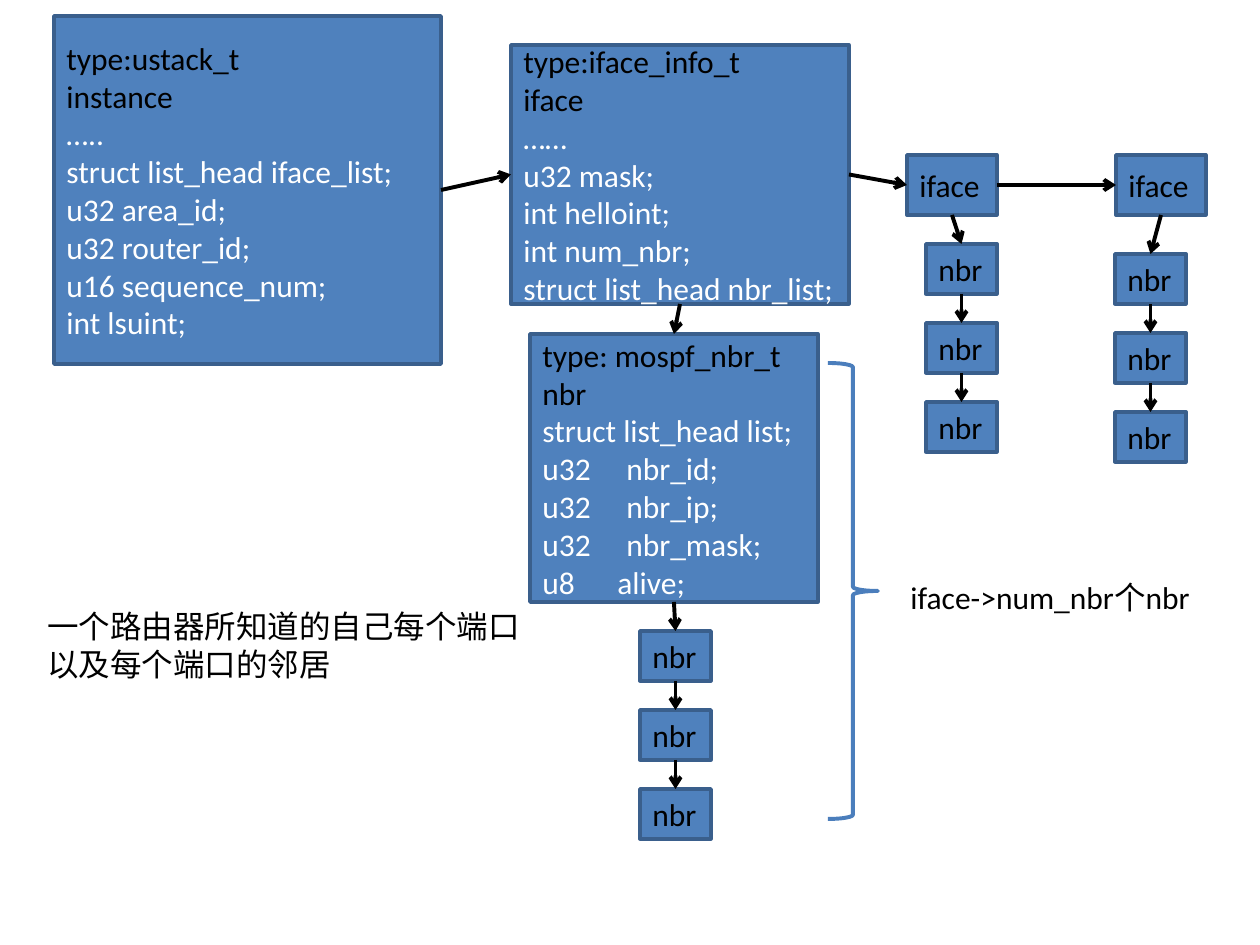
from lxml import etree
from pptx import Presentation
from pptx.dml.color import RGBColor
from pptx.enum.shapes import MSO_CONNECTOR, MSO_SHAPE
from pptx.enum.text import MSO_ANCHOR, PP_ALIGN
from pptx.oxml.ns import qn
from pptx.util import Emu, Pt

RECT = MSO_SHAPE.RECTANGLE
BRACE = MSO_SHAPE.RIGHT_BRACE
LINE = MSO_CONNECTOR.STRAIGHT
MIDDLE, TOP = MSO_ANCHOR.MIDDLE, MSO_ANCHOR.TOP
LEFT = PP_ALIGN.LEFT
DOWN, ACROSS = (2, 0), (3, 1)  # connection sites: leaving, entering
NB = "\u00a0"


def px(n):
    """Turn pixels into EMU."""
    return Emu(round(n * 914400 / 126))


def rgb(code):
    """Turn a hex string into a colour."""
    return RGBColor.from_string(code)


def write(frame, text, size=18, font="Calibri", ink="000000", rest="FFFFFF",
          head=2, anchor=TOP):
    """Fill a frame line by line; lines after the head use the rest colour."""
    frame.word_wrap = True
    frame.vertical_anchor = anchor
    for i, line in enumerate(text.split("\n")):
        par = frame.add_paragraph() if i else frame.paragraphs[0]
        par.alignment = LEFT
        run = par.add_run()
        run.text = line
        run.font.size = Pt(size)
        run.font.name = font
        run.font.color.rgb = rgb(ink if i < head else rest)


class Board:
    """Holds the style and the current slide."""
    fill, edge, curve, ink = "4F81BD", "3A5F8C", "4B7EBC", "000000"

    def __init__(self, slide):
        """Keep the shapes of the slide."""
        self.shapes = slide.shapes

    def box(self, x, y, w, h, text):
        """Add a filled box with text."""
        box = self.shapes.add_shape(RECT, px(x), px(y), px(w), px(h))
        box.shadow.inherit = False
        box.fill.solid()
        box.fill.fore_color.rgb = rgb(self.fill)
        box.line.color.rgb = rgb(self.edge)
        box.line.width = Pt(2)
        write(box.text_frame, text, anchor=MIDDLE)
        return box

    def link(self, start, end, sites):
        """Join two boxes with an arrow."""
        link = self.shapes.add_connector(LINE, 0, 0, 0, 0)
        link.begin_connect(start, sites[0])
        link.end_connect(end, sites[1])
        link.line.color.rgb = rgb(self.ink)
        link.line.width = Pt(2.25)
        etree.SubElement(link.line._get_or_add_ln(), qn("a:tailEnd"), type="arrow")
        etree.SubElement(link._element.spPr, qn("a:effectLst"))

    def chain(self, owner, x, y):
        """Hang three linked nbr boxes below their owner."""
        for i in range(3):
            node = self.box(x, y + 79 * i, 71, 50, "nbr")
            self.link(owner, node, DOWN)
            owner = node

    def brace(self, x, y, w, h):
        """Add a right brace."""
        brace = self.shapes.add_shape(BRACE, px(x), px(y), px(w), px(h))
        brace.shadow.inherit = False
        brace.fill.background()
        brace.line.color.rgb = rgb(self.curve)
        brace.line.width = Pt(2.25)

    def note(self, x, y, w, h, text):
        """Add plain text."""
        note = self.shapes.add_textbox(px(x), px(y), px(w), px(h))
        write(note.text_frame, text)


deck = Presentation()
deck.slide_width, deck.slide_height = px(1260), px(945)
board = Board(deck.slides.add_slide(deck.slide_layouts[6]))

stack = board.box(54, 16, 387, 348, "\n".join([
    "type:ustack_t", "instance", "…..", "struct list_head iface_list;",
    "u32 area_id;", "u32 router_id;", "u16 sequence_num;", "int lsuint;"]))
info = board.box(511, 45, 338, 259, "\n".join([
    "type:iface_info_t", "iface", "……", "u32 mask;", "int helloint;",
    "int num_nbr;", "struct list_head nbr_list;"]))
near, far = [board.box(x, 155, 90, 60, "iface") for x in (907, 1116)]
peer = board.box(530, 334, 288, 268, "\n".join([
    "type: mospf_nbr_t", "nbr", "struct list_head list;",
    f"u32 {NB * 4}nbr_id;", f"u32{NB * 5}nbr_ip;",
    f"u32{NB * 5}nbr_mask;", f"u8{NB * 6}alive;{NB}"]))

row = [stack, info, near, far]
for start, end in zip(row, row[1:]):
    board.link(start, end, ACROSS)
board.link(info, peer, DOWN)
for owner, x, y in [(peer, 640, 631), (near, 926, 244), (far, 1115, 254)]:
    board.chain(owner, x, y)

board.brace(828, 363, 50, 456)
board.note(898, 572, 307, 51, "iface->num_nbr个nbr")
board.note(35, 601, 503, 89, "一个路由器所知道的自己每个端口\n以及每个端口的邻居")

deck.save("out.pptx")
